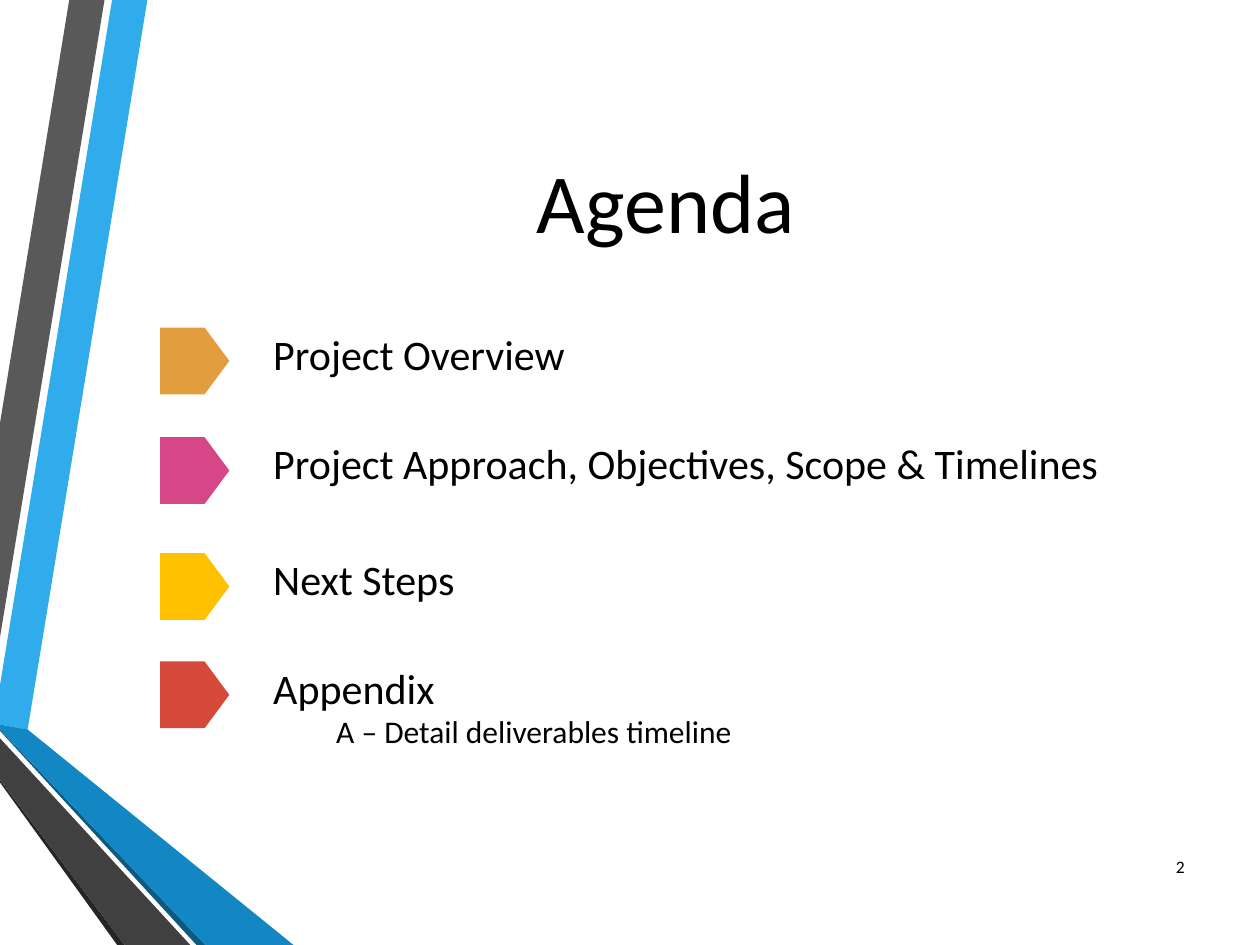
from dataclasses import dataclass

from pptx import Presentation
from pptx.dml.color import RGBColor
from pptx.enum.shapes import MSO_SHAPE
from pptx.enum.text import MSO_ANCHOR, PP_ALIGN
from pptx.shapes.base import BaseShape
from pptx.shapes.shapetree import GroupShapes, SlideShapes
from pptx.text.text import TextFrame
from pptx.util import Inches, Length, Pt


@dataclass(frozen=True)
class Theme:
    font: str = "Calibri"
    text: str = "000000"
    title_size: int = 48
    item_size: int = 24
    detail_size: int = 18
    number_size: int = 10
    blue: str = "30ACEC"
    deep_blue: str = "1287C3"
    shaded_blue: str = "0C5A82"
    gray: str = "595959"
    dark_gray: str = "404040"
    shaded_gray: str = "262626"
    orange: str = "E29D3E"
    pink: str = "D64787"
    yellow: str = "FFC000"
    red: str = "D64A3B"


@dataclass(frozen=True)
class Area:
    """A rectangle in grid units."""
    column: float
    row: float
    columns: float
    rows: float


@dataclass(frozen=True)
class Ribbon:
    color: str
    corners: tuple[tuple[float, float], ...]


@dataclass(frozen=True)
class AgendaItem:
    row: float
    color: str
    label: str
    detail: str = ""


THEME = Theme()
COLUMNS, ROWS = 100, 75
MARKER_COLUMN, MARKER_COLUMNS, MARKER_ROWS = 12.7, 5.5, 5.3
LABEL_COLUMN, LABEL_COLUMNS, LABEL_ROWS = 20.7, 75.5, 6.2
DETAIL_BOX_ROWS = 14.4
LABEL_RISE = 0.45
DETAIL_INDENT = 5

RIBBONS = (
    Ribbon(THEME.blue, ((0, 54.4), (0, 57.5), (2.2, 57.9), (11.7, 0), (8.9, 0))),
    Ribbon(THEME.gray, ((8.3, 0), (5.5, 0), (0, 33.6), (0, 50.6))),
    Ribbon(THEME.shaded_gray, ((0, 61.9), (0, 62.1), (9.3, ROWS), (9.9, ROWS))),
    Ribbon(THEME.shaded_blue, ((0, 57.9), (0, 58), (15.6, ROWS), (16.3, ROWS))),
    Ribbon(THEME.deep_blue, ((0, 57.9), (16.3, ROWS), (23.3, ROWS), (2.2, 57.9), (0, 57.5))),
    Ribbon(THEME.dark_gray, ((0, 61.9), (9.9, ROWS), (15.1, ROWS), (0, 58.6))),
)
AGENDA = (
    AgendaItem(26, THEME.orange, "Project Overview"),
    AgendaItem(34.7, THEME.pink, "Project Approach, Objectives, Scope & Timelines"),
    AgendaItem(43.9, THEME.yellow, "Next Steps"),
    AgendaItem(52.5, THEME.red, "Appendix", "A – Detail deliverables timeline"),
)


def grid(units: float) -> Length:
    """Convert square grid units, a hundredth of the slide's width, to a length."""
    return Inches(units * 10 / COLUMNS)


def place(area: Area) -> tuple[Length, Length, Length, Length]:
    return grid(area.column), grid(area.row), grid(area.columns), grid(area.rows)


def paint(shape: BaseShape, color: str) -> None:
    shape.shadow.inherit = False
    shape.fill.solid()
    shape.fill.fore_color.rgb = RGBColor.from_string(color)
    shape.line.fill.background()


def add_ribbon(shapes: GroupShapes, ribbon: Ribbon) -> None:
    start, *others = [(grid(x), grid(y)) for x, y in ribbon.corners]
    builder = shapes.build_freeform(*start)
    builder.add_line_segments(others, close=True)
    paint(builder.convert_to_shape(), ribbon.color)


def add_text(shapes: SlideShapes | GroupShapes, area: Area, text: str, size: int,
             align: PP_ALIGN = PP_ALIGN.LEFT,
             anchor: MSO_ANCHOR = MSO_ANCHOR.TOP) -> TextFrame:
    frame = shapes.add_textbox(*place(area)).text_frame
    frame.word_wrap = True
    frame.vertical_anchor = anchor
    write(frame.paragraphs[0], text, size)
    frame.paragraphs[0].alignment = align
    return frame


def write(para, text: str, size: int) -> None:
    span = para.add_run()
    span.text = text
    span.font.name = THEME.font
    span.font.size = Pt(size)
    span.font.color.rgb = RGBColor.from_string(THEME.text)


def add_agenda_item(shapes: GroupShapes, item: AgendaItem) -> None:
    label_area = Area(LABEL_COLUMN, item.row - LABEL_RISE, LABEL_COLUMNS,
                      DETAIL_BOX_ROWS if item.detail else LABEL_ROWS)
    frame = add_text(shapes, label_area, item.label, THEME.item_size)
    if item.detail:
        para = frame.add_paragraph()
        para._p.get_or_add_pPr().set("marL", str(grid(DETAIL_INDENT)))
        write(para, item.detail, THEME.detail_size)
    marker_area = Area(MARKER_COLUMN, item.row, MARKER_COLUMNS, MARKER_ROWS)
    marker = shapes.add_shape(MSO_SHAPE.PENTAGON, *place(marker_area))
    marker.adjustments[0] = 0.37
    paint(marker, item.color)


def main() -> None:
    deck = Presentation()
    deck.slide_width, deck.slide_height = grid(COLUMNS), grid(ROWS)
    page = deck.slides.add_slide(deck.slide_layouts[6])

    ribbon_group = page.shapes.add_group_shape()
    for ribbon in RIBBONS:
        add_ribbon(ribbon_group.shapes, ribbon)

    add_text(page.shapes, Area(10.7, 5, 84.3, 21.7), "Agenda", THEME.title_size,
             PP_ALIGN.CENTER, MSO_ANCHOR.MIDDLE)
    add_text(page.shapes, Area(90.3, 66.8, 4.7, 4), "2", THEME.number_size,
             PP_ALIGN.RIGHT, MSO_ANCHOR.MIDDLE)
    for item in AGENDA:
        add_agenda_item(page.shapes.add_group_shape().shapes, item)

    deck.save("out.pptx")


if __name__ == "__main__":
    main()
